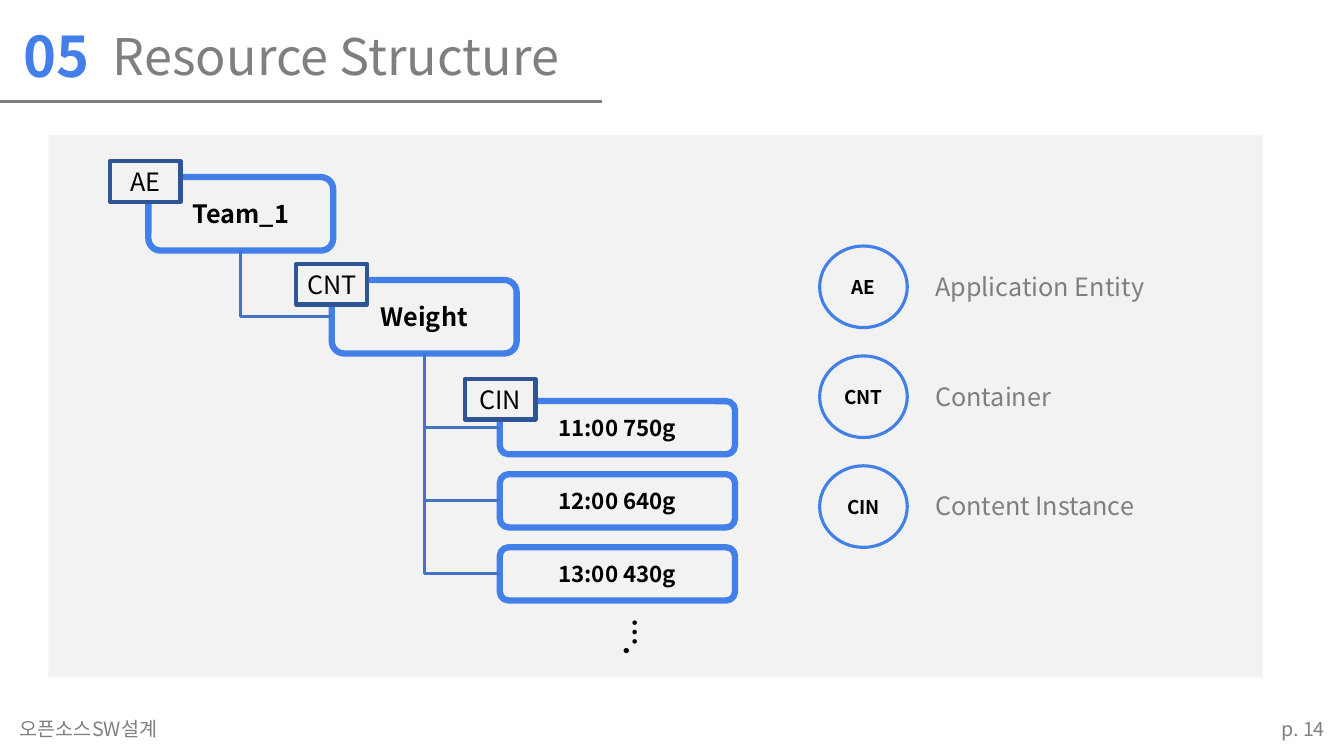
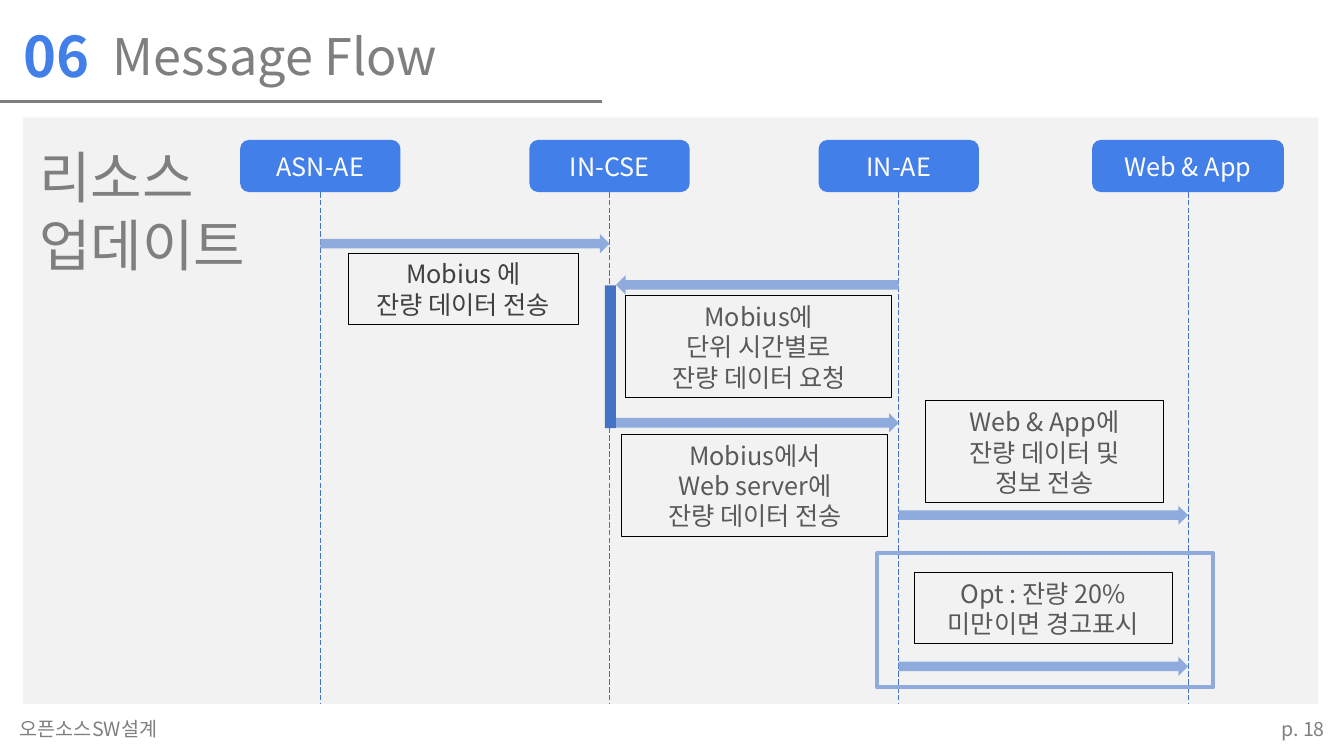
from lxml import etree
from pptx import Presentation
from pptx.dml.color import RGBColor
from pptx.enum import dml, shapes, text
from pptx.oxml import ns
from pptx.util import Pt

FONT = "Noto Sans CJK KR"
COLOURS = {
    "accent": "427FE9", "link": "4472C4", "tag": "2F5597", "arrow": "8FAADC",
    "panel": "F2F2F2", "grey": "7F7F7F", "footer": "808080", "note": "595959",
    "dark": "404040", "black": "000000", "white": "FFFFFF",
}
LEFT, CENTRE, RIGHT = (text.PP_ALIGN.LEFT, text.PP_ALIGN.CENTER, text.PP_ALIGN.RIGHT)
TOP, MIDDLE = text.MSO_ANCHOR.TOP, text.MSO_ANCHOR.MIDDLE
SHAPE = shapes.MSO_SHAPE
STRAIGHT, ELBOW = shapes.MSO_CONNECTOR.STRAIGHT, shapes.MSO_CONNECTOR.ELBOW


def colour(name):
    return RGBColor.from_string(COLOURS[name])


def write(box, words, size, ink, bold=False, align=CENTRE, anchor=MIDDLE, wrap=True):
    """Fill a shape, text box or placeholder with one paragraph per line."""
    frame = box.text_frame
    frame.text = words
    frame.word_wrap = wrap
    frame.auto_size = text.MSO_AUTO_SIZE.NONE
    frame.vertical_anchor = anchor
    for para in frame.paragraphs:
        para.alignment = align
        para.line_spacing = Pt(size * 1.2)
        for span in para.runs:
            span.font.size = Pt(size)
            span.font.bold = bold
            span.font.name = FONT
            span.font.color.rgb = colour(ink)
            # East Asian letters take their own font entry
            latin = span.font._element.find(ns.qn("a:latin"))
            east_asian = etree.Element(ns.qn("a:ea"), typeface=FONT)
            latin.addnext(east_asian)


def add_label(page, place, words, size, ink, **style):
    box = page.shapes.add_textbox(*map(Pt, place))
    write(box, words, size, ink, **{"align": LEFT, "anchor": TOP, **style})
    return box


def add_box(page, kind, place, fill=None, line=None, width=0):
    box = page.shapes.add_shape(kind, *map(Pt, place))
    box.shadow.inherit = False
    if fill:
        box.fill.solid()
        box.fill.fore_color.rgb = colour(fill)
    else:
        box.fill.background()
    if line:
        box.line.color.rgb = colour(line)
        box.line.width = Pt(width)
    else:
        box.line.fill.background()
    return box


def add_line(page, kind, start, end, ink, width):
    line = page.shapes.add_connector(kind, *map(Pt, (*start, *end)))
    line.line.color.rgb = colour(ink)
    line.line.width = Pt(width)
    etree.SubElement(line.element.spPr, ns.qn("a:effectLst"))
    return line


def add_branch(page, parent, child):
    """Link the bottom of parent to the left of child with one bend."""
    branch = add_line(page, ELBOW, (0, 0), (1, 1), "link", 2.25)
    branch.begin_connect(parent, 2)
    branch.end_connect(child, 1)
    left, top, across, down = branch.left, branch.top, branch.width, branch.height
    # A quarter turn swaps the sides around the same centre
    branch.left, branch.top = left + (across - down) // 2, top + (down - across) // 2
    branch.width, branch.height = down, across
    properties = branch.element.spPr
    properties.find(ns.qn("a:prstGeom")).set("prst", "bentConnector2")
    turn = properties.find(ns.qn("a:xfrm"))
    turn.set("rot", "16200000")
    turn.set("flipH", "1")


def add_page(deck, number, title, page_number, panel):
    """Add a slide with the shared panel, header and footer."""
    page = deck.slides.add_slide(deck.slide_layouts[5])
    add_box(page, SHAPE.RECTANGLE, panel, "panel")
    heading = page.shapes.title
    heading.left, heading.top, heading.width, heading.height = map(Pt, (73.5, 7, 350, 65))
    write(heading, title, 36, "grey", align=LEFT)
    add_label(page, (10, 12, 69, 55.5), number, 40, "accent", bold=True)
    add_line(page, STRAIGHT, (0, 72.7), (430, 72.7), "grey", 2.25)
    add_label(page, (7, 508.5, 120, 24.5), "오픈소스SW설계", 14, "footer", wrap=False)
    add_label(page, (906.5, 508.5, 47, 24.5), f"p. {page_number}", 14, "footer",
              align=RIGHT, wrap=False)
    return page


def add_node(page, place, words, size):
    node = add_box(page, SHAPE.ROUNDED_RECTANGLE, place, line="accent", width=4.5)
    write(node, words, size, "black", bold=True)
    return node


def build_resources(deck):
    page = add_page(deck, "05", "Resource Structure", 14, (34.5, 96.5, 867.5, 387.5))

    # Resource tree
    team = add_node(page, (106, 126.5, 132, 52.5), "Team_1", 18)
    weight = add_node(page, (237, 200, 132, 52.5), "Weight", 18)
    add_branch(page, team, weight)
    for row, reading in enumerate(("11:00 750g", "12:00 640g", "13:00 430g")):
        instance = add_node(page, (357, 286.5 + 52.2 * row, 168, 38), reading, 16)
        add_branch(page, weight, instance)
    dots = add_label(page, (430.5, 435, 39, 30), "….", 20, "black", bold=True, wrap=False)
    dots.text_frame._txBody.bodyPr.set("vert", "eaVert")

    # Type tags and legend
    legend = (
        ("AE", "Application Entity", 78.5, 115.2),
        ("CNT", "Container", 211.7, 188.6),
        ("CIN", "Content Instance", 332, 270.7),
    )
    for row, (short, meaning, left, top) in enumerate(legend):
        tag = add_box(page, SHAPE.RECTANGLE, (left, top, 50.5, 29), "panel", "tag", 3)
        tag.text_frame.margin_left = tag.text_frame.margin_right = 0
        write(tag, short, 18, "black")
        shift = 78.5 * row
        circle = add_box(page, SHAPE.OVAL, (585.5, 175.7 + shift, 62.6, 58.3),
                         line="accent", width=2.25)
        circle.text_frame.margin_left = circle.text_frame.margin_right = 0
        write(circle, short, 13.5, "black", bold=True)
        add_label(page, (661, 190 + shift, 230, 29), meaning, 18, "grey")


def build_messages(deck):
    page = add_page(deck, "06", "Message Flow", 18, (16.5, 84, 925, 419))
    add_label(page, (21, 98.6, 230, 104), "리소스\n업데이트", 40, "grey")

    # Actors and their lifelines
    actors = (("ASN-AE", 114.5), ("IN-CSE", 114.5), ("IN-AE", 114.5), ("Web & App", 137))
    centres = [228.8 + 206.6 * column for column in range(len(actors))]
    for (name, width), centre in zip(actors, centres):
        lifeline = add_line(page, STRAIGHT, (centre, 137), (centre, 503), "link", 0.5)
        lifeline.line.dash_style = dml.MSO_LINE.LONG_DASH
        actor = add_box(page, SHAPE.ROUNDED_RECTANGLE,
                        (centre - width / 2, 100, width, 37.2), "accent")
        write(actor, name, 18, "white")

    # Messages: sender, receiver, height of the arrow
    for sender, receiver, middle in ((0, 1, 174), (2, 1, 203.5), (1, 2, 302),
                                     (2, 3, 368), (2, 3, 476)):
        kind = SHAPE.RIGHT_ARROW if sender < receiver else SHAPE.LEFT_ARROW
        left, right = sorted((centres[sender], centres[receiver]))
        if kind == SHAPE.LEFT_ARROW:
            left += 4.6  # stops at the edge of the activation bar
        add_box(page, kind, (left, middle - 6.85, right - left, 13.7), "arrow")
    add_box(page, SHAPE.RECTANGLE, (432, 203.8, 8, 102), "link")

    # Optional part and notes
    add_box(page, SHAPE.RECTANGLE, (626.5, 395.3, 240, 95.7), line="arrow", width=3)
    notes = (
        ((249, 180.8, 164, 51), "Mobius 에\n잔량 데이터 전송", "dark"),
        ((447, 211.2, 190, 73), "Mobius에\n단위 시간별로\n잔량 데이터 요청", "note"),
        ((444.2, 310.3, 190, 73), "Mobius에서\nWeb server에\n잔량 데이터 전송", "note"),
        ((661, 286.3, 170, 73), "Web & App에\n잔량 데이터 및\n정보 전송", "note"),
        ((653, 409, 184.5, 51), "Opt : 잔량 20%\n미만이면 경고표시", "note"),
    )
    for place, words, ink in notes:
        note = add_box(page, SHAPE.RECTANGLE, place, line="black", width=0.75)
        write(note, words, 18, ink)


def main():
    deck = Presentation()
    deck.slide_width, deck.slide_height = Pt(960), Pt(540)
    build_resources(deck)
    build_messages(deck)
    deck.save("out.pptx")


if __name__ == "__main__":
    main()
